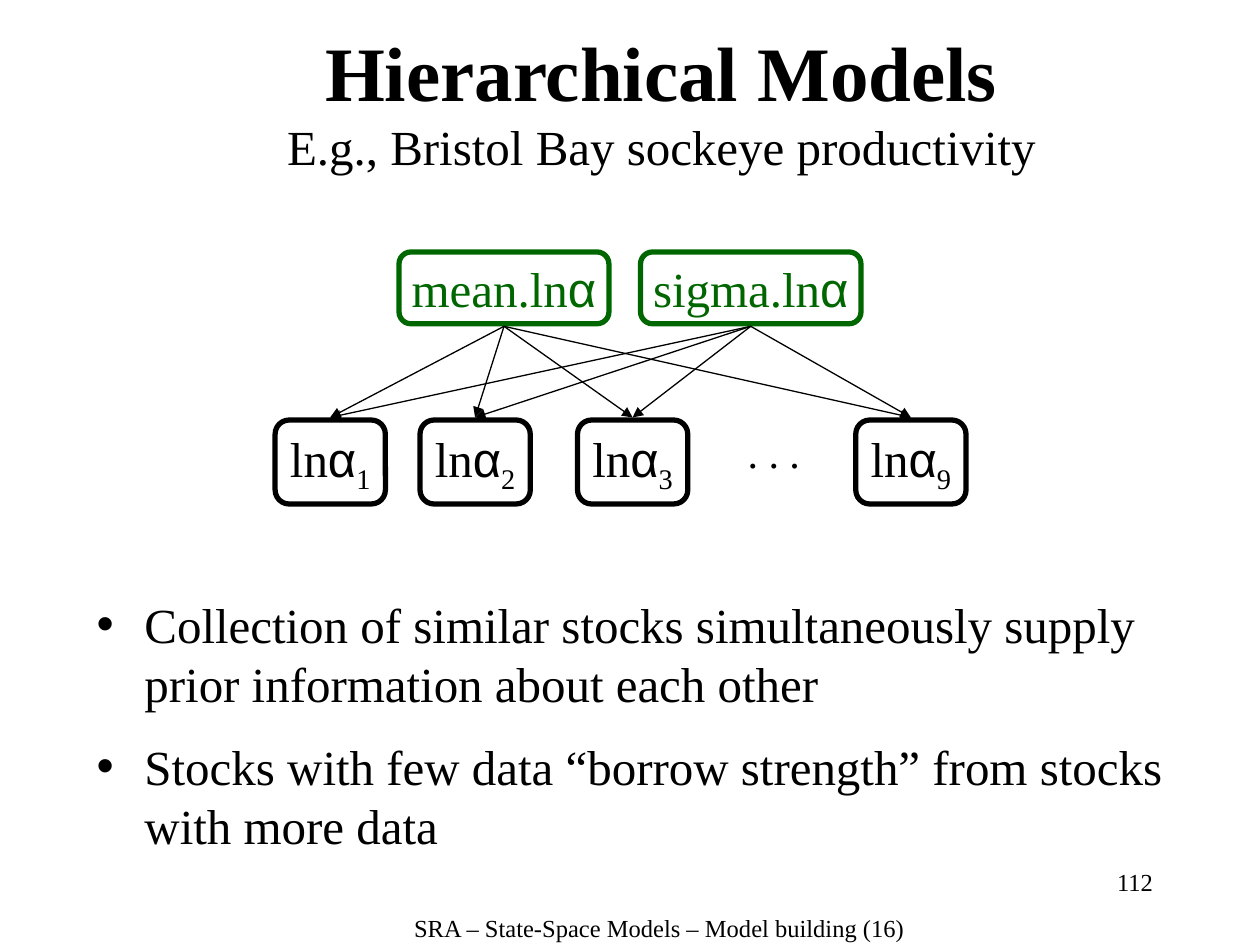
import pptx
import pptx.util
import pptx.dml.color
import pptx.enum.shapes
import pptx.enum.text
import lxml.etree

Pt = pptx.util.Pt
RGB = pptx.dml.color.RGBColor.from_string
Align = pptx.enum.text.PP_ALIGN
Anchor = pptx.enum.text.MSO_ANCHOR
Fit = pptx.enum.text.MSO_AUTO_SIZE
Kind = pptx.enum.shapes.MSO_SHAPE
Line = pptx.enum.shapes.MSO_CONNECTOR

HEAD = "Hierarchical Models"
SUB = "E.g., Bristol Bay sockeye productivity"
POINTS = [
    "Collection of similar stocks simultaneously supply prior information about each other",
    "Stocks with few data “borrow strength” from stocks with more data",
]
PRIORS = [("mean.ln", 38, 20), ("sigma.ln", 61, 21)]
STOCKS = [("1", 26.2), ("2", 40), ("3", 55), ("9", 81.5)]
NOTES = [
    (". . .", (70, 40, 7.4, 6), "dots", Align.CENTER, False),
    ("112", (86, 82, 25, 6), "note", Align.RIGHT, True),
    ("SRA – State-Space Models – Model building (16)",
     (29.8, 86.4, 66, 3.2), "note", Align.CENTER, True),
]

THEME = {
    "ink": RGB("000000"), "prior": RGB("006600"), "paper": RGB("FFFFFF"),
    "text": "Times New Roman", "greek": "Arial",
    "head": Pt(44), "body": Pt(28), "dots": Pt(24), "note": Pt(14),
    "edge": Pt(3), "wire": Pt(0.75),
}
COLS, ROWS = 120, 90
PRIOR_Y, PRIOR_H = 24, 6.84
STOCK_Y, STOCK_W, STOCK_H = 40, 10.5, 8
GAP = 0.24

deck = pptx.Presentation()
deck.slide_width, deck.slide_height = pptx.util.Inches(10), pptx.util.Inches(7.5)
slide = deck.slides.add_slide(deck.slide_layouts[1])
shapes = slide.shapes


def grid(*cells):
    units = (deck.slide_width / COLS, deck.slide_height / ROWS)
    return [round(cell * units[i % 2]) for i, cell in enumerate(cells)]


def apply(item, values):
    for name, value in values.items():
        setattr(item, name, value)


def place(shape, cells):
    apply(shape, dict(zip(("left", "top", "width", "height"), grid(*cells))))


def write(para, text, size="body", ink="ink", face="text", bold=False):
    run = para.add_run()
    run.text = text
    apply(run.font, {"name": THEME[face], "size": THEME[size], "bold": bold})
    run.font.color.rgb = THEME[ink]
    return run


def add_node(cells, label, ink, sub=None):
    node = shapes.add_shape(Kind.FLOWCHART_ALTERNATE_PROCESS, *grid(*cells))
    node.shadow.inherit = False
    node.fill.solid()
    node.fill.fore_color.rgb = THEME["paper"]
    node.line.color.rgb = THEME[ink]
    node.line.width = THEME["edge"]
    apply(node.text_frame, {"word_wrap": False, "vertical_anchor": Anchor.MIDDLE})
    para = node.text_frame.paragraphs[0]
    para.alignment = Align.CENTER
    write(para, label, ink=ink)
    write(para, "α", ink=ink, face="greek")
    if sub:
        run = write(para, sub, ink=ink)
        run._r.get_or_add_rPr().set("baseline", "-25000")


def add_arrow(start, end):
    wire = shapes.add_connector(Line.STRAIGHT, *grid(*start, *end))
    wire.line.color.rgb = THEME["ink"]
    wire.line.width = THEME["wire"]
    tag = pptx.oxml.ns.qn
    lxml.etree.SubElement(wire.line._get_or_add_ln(), tag("a:tailEnd"), type="triangle")
    lxml.etree.SubElement(wire._element.spPr, tag("a:effectLst"))


title, body = shapes.title, slide.placeholders[1]
place(title, (12, 1, 102, 17))
apply(title.text_frame, {"auto_size": Fit.NONE, "vertical_anchor": Anchor.MIDDLE})
para = title.text_frame.paragraphs[0]
para.alignment = Align.CENTER
write(para, HEAD, "head", bold=True)
para.add_line_break()
write(para, SUB)

place(body, (8, 56, 107, 29))
frame = body.text_frame
frame.auto_size = Fit.NONE
for i, point in enumerate(POINTS):
    para = frame.add_paragraph() if i else frame.paragraphs[0]
    props = para._p.get_or_add_pPr()
    indent = pptx.util.Inches(0.38)
    props.set("marL", str(indent))
    props.set("indent", str(-indent))
    lxml.etree.SubElement(props, pptx.oxml.ns.qn("a:buChar"), char="•")
    para.space_before = THEME["body"] // 2 if i else Pt(0)
    write(para, point)

for label, x, wide in PRIORS:
    add_node((x, PRIOR_Y, wide, PRIOR_H), label, "prior")
for sub, x in STOCKS:
    add_node((x, STOCK_Y, STOCK_W, STOCK_H), "ln", "ink", sub)
for label, x, wide in PRIORS:
    for sub, left in STOCKS:
        add_arrow((x + wide / 2, PRIOR_Y + PRIOR_H + GAP),
                  (left + STOCK_W / 2, STOCK_Y - GAP))

for text, cells, size, align, wrap in NOTES:
    frame = shapes.add_textbox(*grid(*cells)).text_frame
    frame.word_wrap = wrap
    para = frame.paragraphs[0]
    para.alignment = align
    write(para, text, size)

deck.save("out.pptx")
